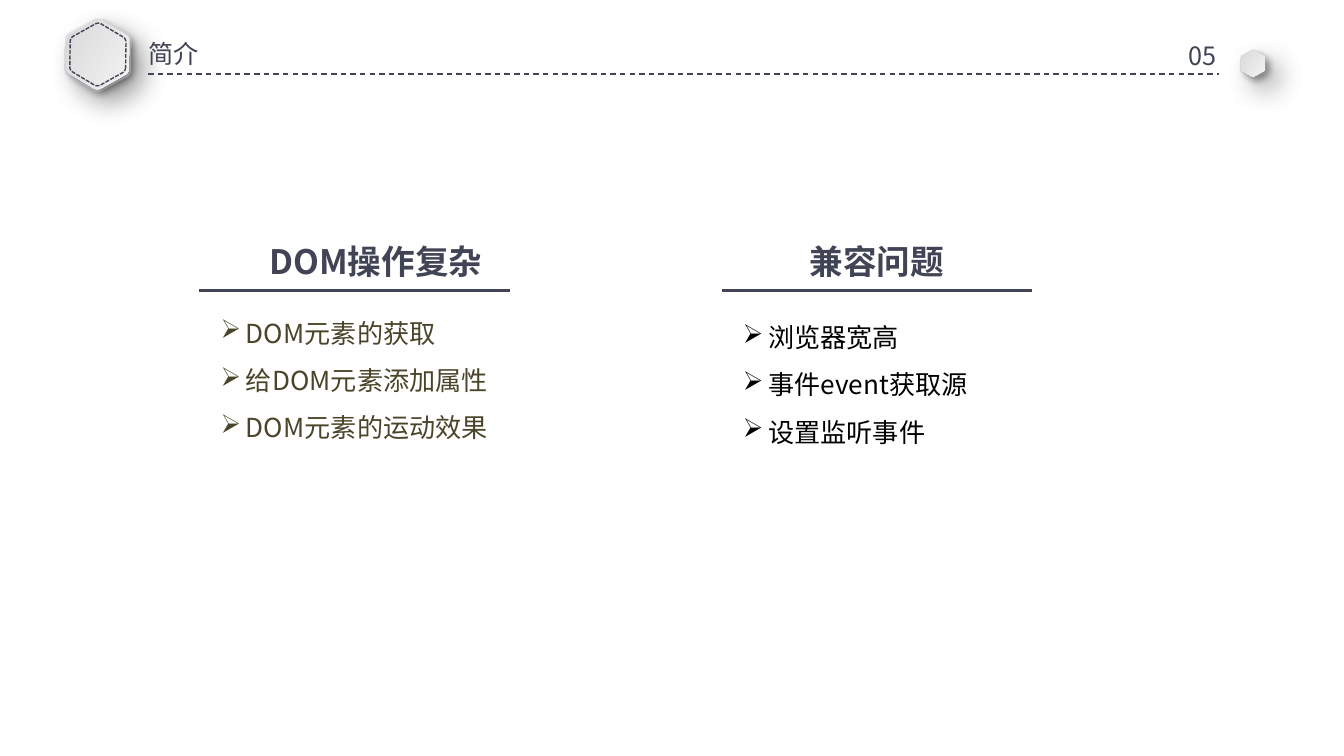
import math

import pptx
import pptx.dml.color
import pptx.enum.dml
import pptx.enum.shapes
import pptx.enum.text
import pptx.oxml.ns
import pptx.util
from lxml import etree

Cm, Pt = pptx.util.Cm, pptx.util.Pt
RGB = pptx.dml.color.RGBColor.from_string
Dash = pptx.enum.dml.MSO_LINE
Align = pptx.enum.text.PP_ALIGN
qn = pptx.oxml.ns.qn


class Theme:
    font = "Noto Sans CJK SC"
    ink, olive, black = "414455", "4A452A", "000000"
    dark, light = "D3D3D3", "F9F9F9"
    label = {"size": Pt(13.5)}
    title = {"size": Pt(18), "bold": True}
    body = {"size": Pt(14)}


HEAD = {"line_spacing": Pt(22.6), "space_after": Pt(8), "alignment": Align.CENTER}
LIST = {"line_spacing": Pt(17.4), "space_after": Pt(8)}

deck = pptx.Presentation()
deck.slide_width, deck.slide_height = Cm(25.4), Cm(14.28)
slide = deck.slides.add_slide(deck.slide_layouts[6])
shapes = slide.shapes


def add_hex(x, y, size):
    """Draw a hexagon with rounded corners, centred on x, y (in cm)."""
    tips = [(x + size * math.cos(math.radians(a)), y + size * math.sin(math.radians(a)))
            for a in range(0, 360, 60)]
    dots = []
    for i, (tx, ty) in enumerate(tips):
        (ax, ay), (bx, by) = [(tx + 0.12 * (nx - tx), ty + 0.12 * (ny - ty))
                              for nx, ny in (tips[i - 1], tips[(i + 1) % 6])]
        for t in (0, 0.25, 0.5, 0.75, 1):
            u, v, w = (1 - t) ** 2, 2 * t * (1 - t), t * t
            dots.append((Cm(u * ax + v * tx + w * bx), Cm(u * ay + v * ty + w * by)))
    pen = shapes.build_freeform(*dots[0])
    pen.add_line_segments(dots[1:], close=True)
    shape = pen.convert_to_shape()
    shape.rotation = 30.9
    shape.shadow.inherit = False
    return shape


def add_text(place, lines, look, color, form=None, inset=(0, 0), bullet=None):
    """Add a text box; place and inset are in cm."""
    box = shapes.add_textbox(*map(Cm, place))
    frame = box.text_frame
    frame.word_wrap = True
    frame.auto_size = pptx.enum.text.MSO_AUTO_SIZE.SHAPE_TO_FIT_TEXT
    frame.margin_left = frame.margin_right = Cm(inset[0])
    frame.margin_top = frame.margin_bottom = Cm(inset[1])
    for i, line in enumerate(lines):
        para = frame.add_paragraph() if i else frame.paragraphs[0]
        if bullet:
            props = para._p.get_or_add_pPr()
            props.set("marL", str(Cm(0.48)))
            props.set("indent", str(-Cm(0.48)))
            etree.SubElement(props, qn("a:buChar")).set("char", bullet)
        for key, value in (form or {}).items():
            setattr(para, key, value)
        run = para.add_run()
        run.text = line
        for key, value in {"name": Theme.font, **look}.items():
            setattr(run.font, key, value)
        run.font.color.rgb = RGB(color)
        east = etree.SubElement(run._r.get_or_add_rPr(), qn("a:ea"))
        east.set("typeface", Theme.font)


# Hexagon badges: centre, size, gradient angle, shadow blur and distance
for x, y, size, angle, blur, dist in (
    (1.85, 1.04, 0.72, 90, 15, 9),
    (1.85, 1.03, 0.68, 0, 4, 3),
    (23.69, 1.21, 0.28, 90, 15, 9),
    (23.68, 1.2, 0.26, 0, 4, 3),
):
    badge = add_hex(x, y, size)
    badge.line.fill.background()
    badge.fill.gradient()
    badge.fill.gradient_angle = angle
    for stop, color, pos in zip(badge.fill.gradient_stops, (Theme.dark, Theme.light), (0, 1)):
        stop.color.rgb = RGB(color)
        stop.position = pos
    effect = badge._element.spPr.find(qn("a:effectLst"))
    shade = etree.SubElement(effect, qn("a:outerShdw"), blurRad=str(Pt(blur)),
                             dist=str(Pt(dist)), dir="2700000", algn="tl", rotWithShape="0")
    tint = etree.SubElement(shade, qn("a:srgbClr"), val=Theme.black)
    etree.SubElement(tint, qn("a:alpha"), val="40000")

stitch = add_hex(1.85, 1.03, 0.61)
stitch.fill.background()
stitch.line.color.rgb = RGB(Theme.ink)
stitch.line.width = Pt(0.75)
stitch.line.dash_style = Dash.SQUARE_DOT

# Header
add_text((2.64, 0.64, 3.91, 0.71), ["简介"], Theme.label, Theme.ink, inset=(0.16, 0.08))
add_text((22.3, 0.69, 0.89, 0.71), ["05"], Theme.label, Theme.ink, inset=(0.16, 0.08))

# Two columns
wide = 5.87
add_text((4.17, 4.52, wide, 0.81), ["DOM操作复杂"], Theme.title, Theme.ink, HEAD)
add_text((13.64, 4.52, wide, 0.81), ["兼容问题"], Theme.title, Theme.ink, HEAD)
add_text((4.17, 5.97, wide, 3.33), ["DOM元素的获取", "给DOM元素添加属性", "DOM元素的运动效果"],
         Theme.body, Theme.olive, LIST, bullet="➢")
add_text((13.79, 5.92, 5.54, 2.67), ["浏览器宽高", "事件event获取源", "设置监听事件"],
         Theme.body, Theme.black, LIST, (0.25, 0.13), "➢")

# Rules
for left, right, y, width, dash in (
    (2.8, 23.04, 1.4, 0.75, Dash.DASH),
    (3.76, 3.76 + wide, 5.49, 1.25, Dash.SOLID),
    (13.64, 13.64 + wide, 5.49, 1.25, Dash.SOLID),
):
    rule = shapes.add_connector(pptx.enum.shapes.MSO_CONNECTOR.STRAIGHT,
                                Cm(left), Cm(y), Cm(right), Cm(y))
    rule.line.color.rgb = RGB(Theme.ink)
    rule.line.width = Pt(width)
    rule.line.dash_style = dash
    etree.SubElement(rule._element.spPr, qn("a:effectLst"))

deck.save("out.pptx")
